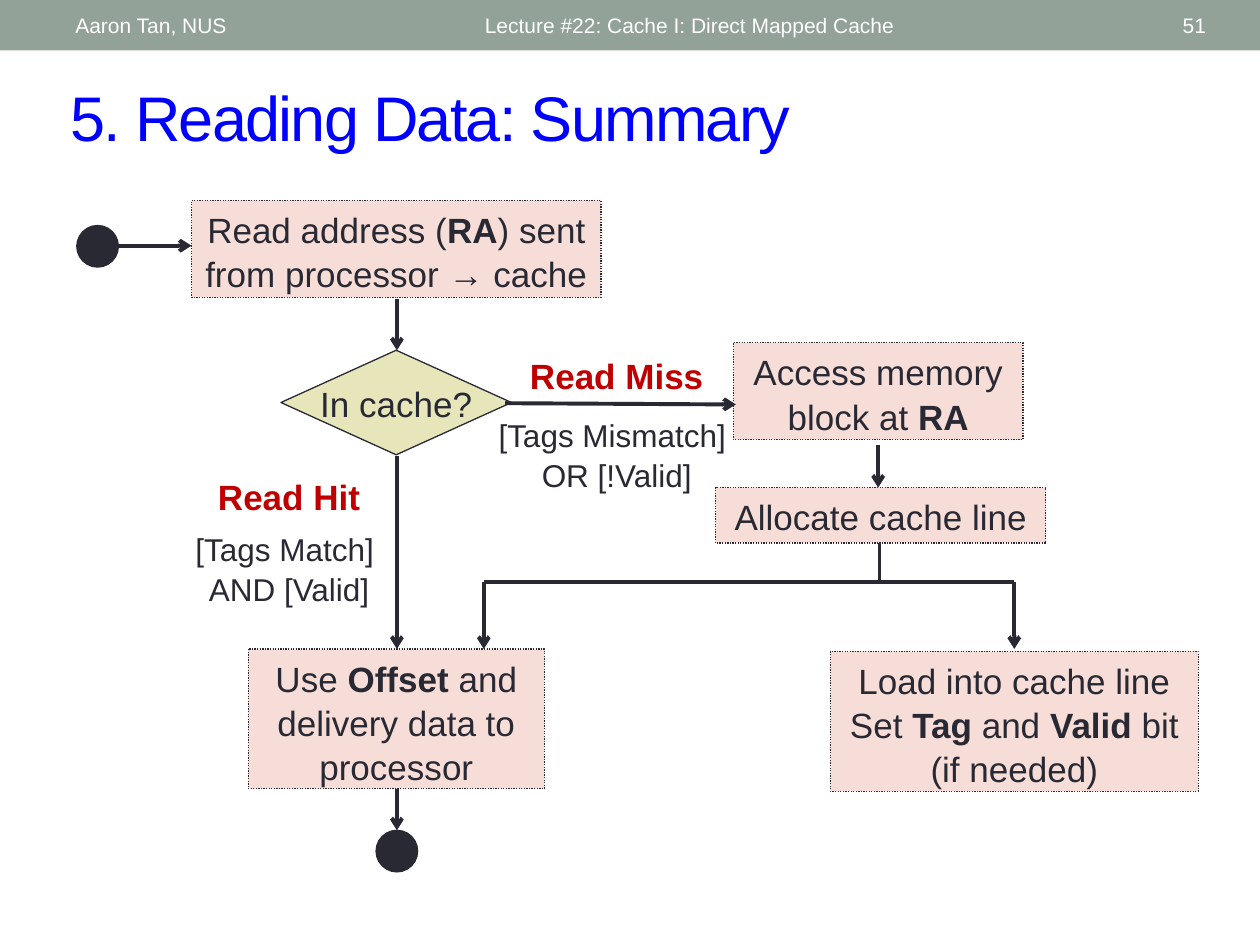
from dataclasses import dataclass

import pptx
import pptx.dml.color
import pptx.enum.dml
import pptx.enum.shapes
import pptx.enum.text
import pptx.oxml
import pptx.oxml.ns
import pptx.util

SHAPE = pptx.enum.shapes.MSO_SHAPE
ALIGN = pptx.enum.text.PP_ALIGN
ANCHOR = pptx.enum.text.MSO_ANCHOR

COLORS = {
    "ink": "292934",
    "banner": "93A299",
    "step": "F6DDD8",
    "decision": "E7E5BA",
    "outcome": "C00000",
    "title": "0000FF",
    "white": "FFFFFF",
}
COLUMNS, ROWS = 100, 75  # square cells of a tenth of an inch
CELL = pptx.util.Inches(0.1)
LINE_SPACING = 1.05


@dataclass
class Area:
    left: float
    top: float
    width: float
    height: float

    def emu(self) -> list[int]:
        return [cells(v) for v in (self.left, self.top, self.width, self.height)]


@dataclass
class Node:
    area: Area
    text: str = ""
    kind: SHAPE = SHAPE.RECTANGLE
    fill: str = "step"
    line: str | None = "ink"


@dataclass
class Link:
    start: tuple[float, float]
    end: tuple[float, float]
    arrow: bool = True


@dataclass
class Outcome:
    area: Area
    name: str
    condition: str
    gap: float


@dataclass
class HeaderItem:
    area: Area
    text: str
    align: ALIGN = ALIGN.LEFT


SPINE, LOAD_X, USE_X, FORK_Y = 31.5, 80.5, 38.4, 46.2
DOT = 3.3

NODES = [
    Node(Area(6.1, 17.9, DOT, DOT), kind=SHAPE.OVAL, fill="ink"),
    Node(Area(15.2, 15.9, 32.5, 7.7), "Read address (*RA*) sent from processor → cache"),
    Node(Area(22.3, 27.8, 18.3, 8.3), "In cache?", SHAPE.DIAMOND, "decision"),
    Node(Area(58.2, 27.2, 23, 7.7), "Access memory block at *RA*"),
    Node(Area(19.7, 51.5, 23.5, 11.1), "Use *Offset* and delivery data to processor"),
    Node(Area(65.9, 51.7, 29.2, 11.1),
         "Load into cache line\nSet *Tag* and *Valid *bit (if needed)"),
    Node(Area(SPINE - DOT / 2, 65.9, DOT, DOT), kind=SHAPE.OVAL, fill="ink"),
    Node(Area(56.8, 38.7, 26.2, 4.4), "Allocate cache line"),
]
LINKS = [
    Link((7.8, 19.5), (15.2, 19.5)),
    Link((40.1, 32), (58.4, 32.1)),
    Link((SPINE, 23.7), (SPINE, 27.8)),
    Link((SPINE, 36.2), (SPINE, 51.5)),
    Link((SPINE, 62.6), (SPINE, 65.9)),
    Link((69.7, 35.3), (69.7, 38.7)),
    Link((69.8, 43.1), (69.8, FORK_Y), arrow=False),
    Link((LOAD_X, FORK_Y), (USE_X, FORK_Y), arrow=False),
    Link((LOAD_X, FORK_Y), (LOAD_X, 51.5)),
    Link((USE_X, FORK_Y), (USE_X, 51.5)),
]
OUTCOMES = [
    Outcome(Area(12.1, 37.1, 21.7, 11.3), "Read Hit", "[Tags Match] \vAND [Valid]", 6),
    Outcome(Area(38.1, 27.5, 21.7, 11.9), "Read Miss", "[Tags Mismatch] \vOR [!Valid]", 10),
]
HEADER = [
    HeaderItem(Area(37.5, 0.2, 45, 3.6), "Lecture #22: Cache I: Direct Mapped Cache"),
    HeaderItem(Area(87.2, 0.2, 9.5, 3.6), "51", ALIGN.RIGHT),
    HeaderItem(Area(5, 0.2, 31.7, 3.6), "Aaron Tan, NUS"),
]


def cells(count: float) -> int:
    return round(count * CELL)


def rgb(name: str) -> pptx.dml.color.RGBColor:
    return pptx.dml.color.RGBColor.from_string(COLORS[name])


def write(paragraph, text: str, *, size: float, color: str = "ink", bold: bool = False,
          align=ALIGN.CENTER, before: float = 0, line_spacing: float = LINE_SPACING,
          tracking: int = 0) -> None:
    """Fill a paragraph; asterisks toggle bold and a vertical tab breaks the line."""
    paragraph.alignment = align
    paragraph.line_spacing = line_spacing
    if before:
        paragraph.space_before = pptx.util.Pt(before)
    for line_index, line in enumerate(text.split("\v")):
        if line_index:
            paragraph.add_line_break()
        for part_index, part in enumerate(line.split("*")):
            if not part:
                continue
            run = paragraph.add_run()
            run.text = part
            run.font.name = "Arial"
            run.font.size = pptx.util.Pt(size)
            run.font.bold = bold or part_index % 2 == 1
            run.font.color.rgb = rgb(color)
            if tracking:
                run.font._element.set("spc", str(tracking))


def add_text_frame(slide, area: Area, anchor=ANCHOR.TOP):
    frame = slide.shapes.add_textbox(*area.emu()).text_frame
    frame.word_wrap = True
    frame.vertical_anchor = anchor
    return frame


def draw_node(slide, node: Node) -> None:
    shape = slide.shapes.add_shape(node.kind, *node.area.emu())
    shape.shadow.inherit = False
    shape.fill.solid()
    shape.fill.fore_color.rgb = rgb(node.fill)
    if node.line is None:
        shape.line.fill.background()
    else:
        shape.line.color.rgb = rgb(node.line)
        shape.line.width = pptx.util.Pt(0.75)
        if node.kind == SHAPE.RECTANGLE:
            shape.line.dash_style = pptx.enum.dml.MSO_LINE.ROUND_DOT
    if not node.text:
        return
    frame = shape.text_frame
    is_decision = node.kind == SHAPE.DIAMOND
    frame.word_wrap = not is_decision
    frame.vertical_anchor = ANCHOR.MIDDLE if is_decision else ANCHOR.TOP
    for index, text in enumerate(node.text.split("\n")):
        paragraph = frame.add_paragraph() if index else frame.paragraphs[0]
        write(paragraph, text, size=20)


def draw_link(slide, link: Link) -> None:
    ends = [cells(v) for v in (*link.start, *link.end)]
    connector = slide.shapes.add_connector(pptx.enum.shapes.MSO_CONNECTOR.STRAIGHT, *ends)
    connector.line.color.rgb = rgb("ink")
    connector.line.width = pptx.util.Pt(2.25)
    if link.arrow:
        tail = pptx.oxml.parse_xml(f'<a:tailEnd {pptx.oxml.ns.nsdecls("a")} type="arrow"/>')
        connector.line._get_or_add_ln().append(tail)
    no_effects = pptx.oxml.parse_xml(f'<a:effectLst {pptx.oxml.ns.nsdecls("a")}/>')
    connector._element.spPr.append(no_effects)


def draw_outcome(slide, outcome: Outcome) -> None:
    frame = add_text_frame(slide, outcome.area)
    write(frame.paragraphs[0], outcome.name, size=20, color="outcome", bold=True)
    write(frame.add_paragraph(), outcome.condition, size=18, before=outcome.gap)


def draw_header(slide) -> None:
    draw_node(slide, Node(Area(0, 0, COLUMNS, 4), fill="banner", line=None))
    for item in HEADER:
        frame = add_text_frame(slide, item.area, ANCHOR.MIDDLE)
        write(frame.paragraphs[0], item.text, size=12, color="white",
              align=item.align, line_spacing=1)
    title = add_text_frame(slide, Area(4.6, 5.7, 92.1, 7), ANCHOR.MIDDLE)
    write(title.paragraphs[0], "5. Reading Data: Summary", size=36, color="title",
          align=ALIGN.LEFT, line_spacing=1, tracking=-100)


def main() -> None:
    deck = pptx.Presentation()
    deck.slide_width, deck.slide_height = cells(COLUMNS), cells(ROWS)
    slide = deck.slides.add_slide(deck.slide_layouts[6])
    draw_header(slide)
    for node in NODES:
        draw_node(slide, node)
    for link in LINKS:
        draw_link(slide, link)
    for outcome in OUTCOMES:
        draw_outcome(slide, outcome)
    deck.save("out.pptx")


if __name__ == "__main__":
    main()
